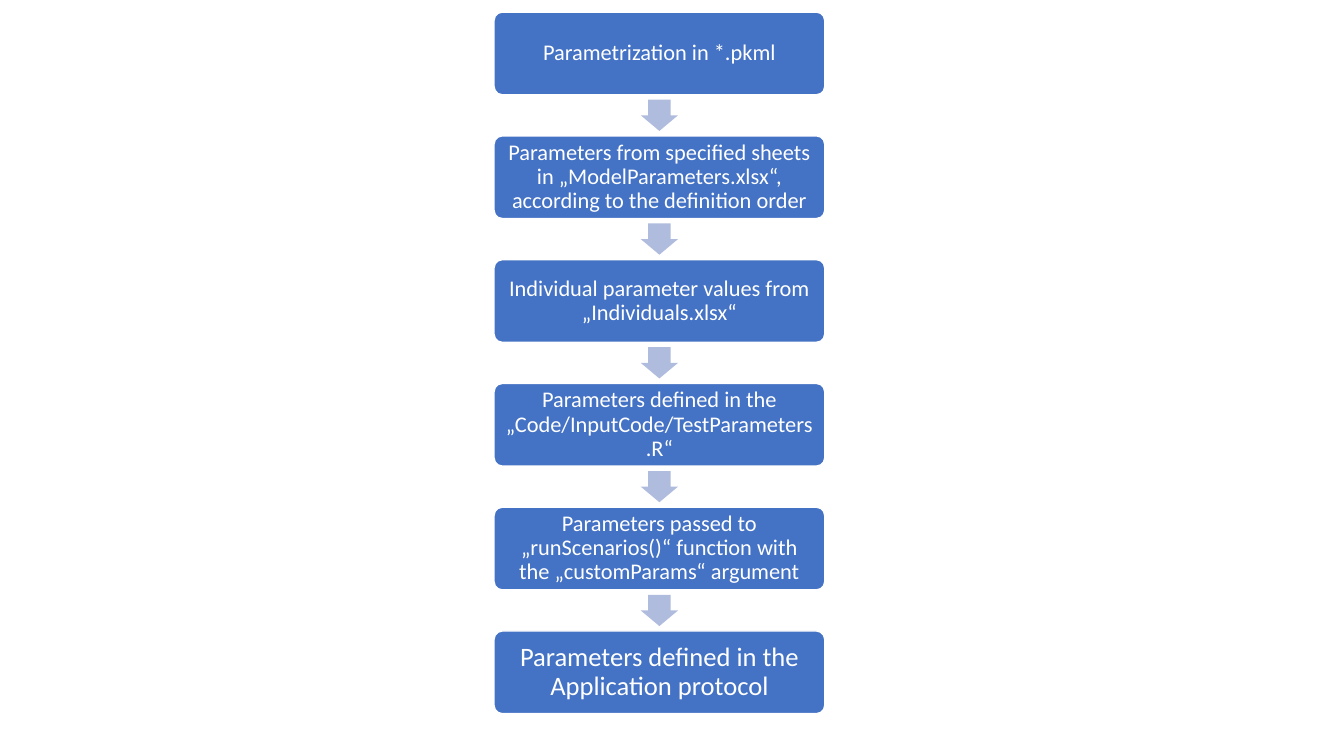
from pptx import Presentation
from pptx.dml.color import RGBColor
from pptx.enum.shapes import MSO_SHAPE as Preset
from pptx.enum.text import MSO_ANCHOR as Anchor, PP_ALIGN as Align
from pptx.util import Inches, Pt

STEPS = [
    ("Parametrization in *.pkml", 16),
    ("Parameters from specified sheets in „ModelParameters.xlsx“, "
     "according to the definition order", 16),
    ("Individual parameter values from „Individuals.xlsx“", 16),
    ("Parameters defined in the „Code/InputCode/TestParameters.R“", 16),
    ("Parameters passed to „runScenarios()“ function with the "
     "„customParams“ argument", 16),
    ("Parameters defined in the Application protocol", 19),
]
CENTER = 6.54
STEP_WIDTH, STEP_HEIGHT = 3.28, 0.82
ARROW_WIDTH, ARROW_HEIGHT = 0.37, 0.31
FIRST_TOP, LAST_TOP = 0.12, 6.26
PITCH = (LAST_TOP - FIRST_TOP) / (len(STEPS) - 1)


def color(value):
    """Turn a hex string into a colour."""
    return RGBColor.from_string(value)


class FlowSlide:
    """Holds the flow chart's style and the current slide."""

    font = "Calibri"
    step_fill = "4472C4"
    arrow_fill = "B0BCDE"
    white = "FFFFFF"

    def __init__(self, slide):
        """Keep the slide to draw on."""
        self.slide = slide

    def preset(self, kind, top, width, height, fill, adjustments):
        """Add a flat preset shape centred on the flow's axis."""
        shape = self.slide.shapes.add_shape(
            kind, Inches(CENTER - width / 2), Inches(top),
            Inches(width), Inches(height))
        shape.shadow.inherit = False
        shape.fill.solid()
        shape.fill.fore_color.rgb = color(fill)
        for index, value in enumerate(adjustments):
            shape.adjustments[index] = value
        return shape

    def step(self, text, size, top):
        """Add a rounded box with its label."""
        shape = self.preset(Preset.ROUNDED_RECTANGLE, top, STEP_WIDTH,
                            STEP_HEIGHT, self.step_fill, [0.1])
        shape.line.color.rgb = color(self.white)
        shape.line.width = Pt(1)
        frame = shape.text_frame
        frame.word_wrap = True
        frame.vertical_anchor = Anchor.MIDDLE
        frame.margin_left = frame.margin_right = Inches(0.07)
        frame.margin_top = frame.margin_bottom = Inches(0.07)
        paragraph = frame.paragraphs[0]
        paragraph.text = text
        paragraph.alignment = Align.CENTER
        paragraph.line_spacing = 0.9
        paragraph.font.name = self.font
        paragraph.font.size = Pt(size)
        paragraph.font.color.rgb = color(self.white)

    def arrow(self, top):
        """Add a block arrow pointing down to the next step."""
        shape = self.preset(Preset.DOWN_ARROW, top, ARROW_WIDTH,
                            ARROW_HEIGHT, self.arrow_fill, [0.6, 0.5])
        shape.line.fill.background()


def main():
    """Build and save the presentation."""
    presentation = Presentation()
    presentation.slide_width = Inches(13.33)
    presentation.slide_height = Inches(7.5)
    flow = FlowSlide(presentation.slides.add_slide(presentation.slide_layouts[6]))
    gap = PITCH - STEP_HEIGHT
    for index, (text, size) in enumerate(STEPS):
        top = FIRST_TOP + index * PITCH
        if index:
            flow.arrow(top - (gap + ARROW_HEIGHT) / 2)
        flow.step(text, size, top)
    presentation.save("out.pptx")


main()
